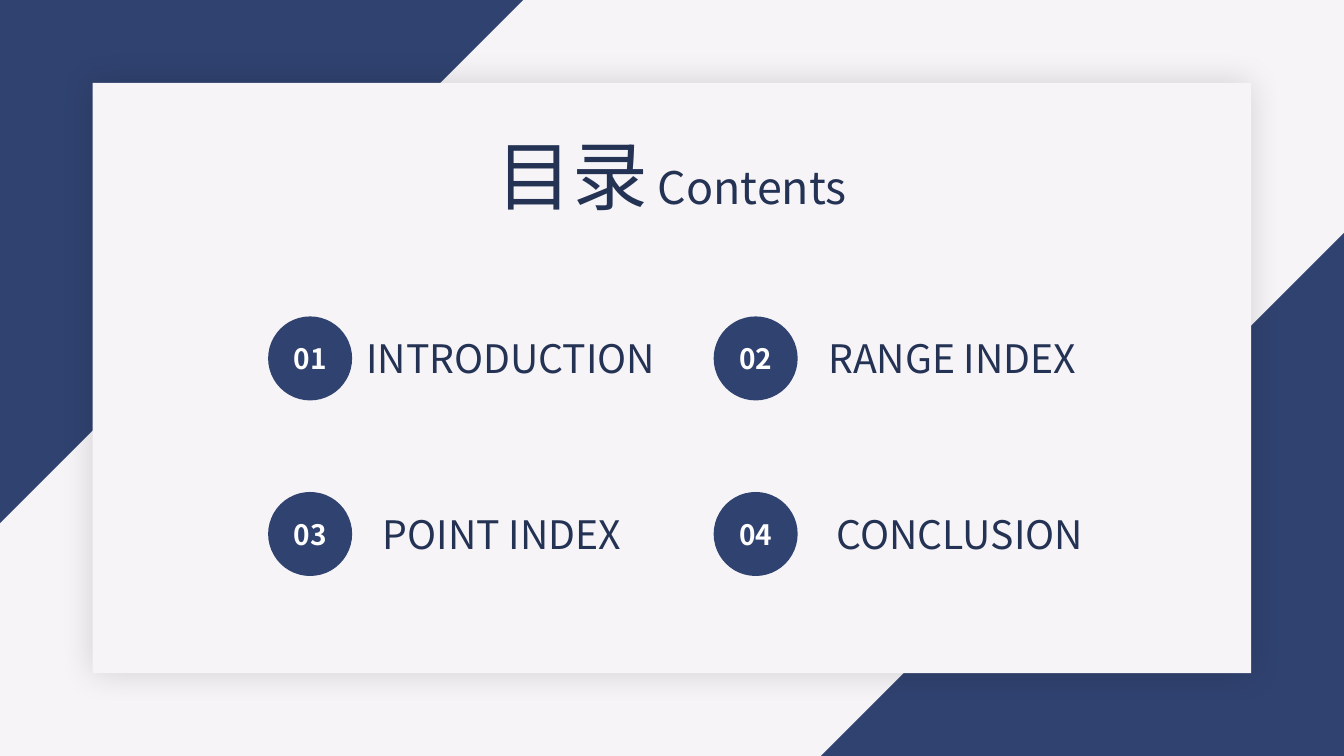
from lxml.etree import SubElement
from pptx import Presentation
from pptx.dml.color import RGBColor
from pptx.enum.shapes import MSO_SHAPE
from pptx.enum.text import MSO_ANCHOR, MSO_AUTO_SIZE, PP_ALIGN
from pptx.oxml import parse_xml
from pptx.oxml.ns import nsdecls, qn
from pptx.util import Pt

FONT = "Noto Sans CJK SC"
BACKGROUND, CARD = "F6F4F7", "F7F4F8"
NAVY, INK, WHITE = "304270", "243254", "FFFFFF"
TRIANGLE_SIDE = 373.7
BADGE_SIDE = 60
COLUMN_LEFTS = (191.5, 509.75)
ROW_TOPS = (226, 351.4)
LABEL_DROP = 9.4
INSET = 7.2
ENTRIES = (
    ("INTRODUCTION", 248.4, 260.6, 6),
    ("RANGE INDEX", 584.6, 226, 0),
    ("POINT INDEX", 266.4, 243.4, 0),
    ("CONCLUSION", 584.6, 226, 6),
)


def paint(color_format, color):
    color_format.rgb = RGBColor.from_string(color)


def fill_solid(fill, color):
    fill.solid()
    paint(fill.fore_color, color)


def add_span(para, text, size, color, bold=False):
    span = para.add_run()
    span.text = text
    font = span.font
    font.name, font.size, font.bold = FONT, Pt(size), bold
    paint(font.color, color)
    SubElement(font._element, qn("a:ea"), typeface=FONT)


def add_block(page, kind, left, top, width, height, color, rotation=0):
    block = page.shapes.add_shape(kind, Pt(left), Pt(top), Pt(width), Pt(height))
    fill_solid(block.fill, color)
    block.line.fill.background()
    block.shadow.inherit = False
    block.rotation = rotation
    return block


def add_glow(block, color, opacity, blur):
    effects = block.element.spPr.find(qn("a:effectLst"))
    effects.append(parse_xml(
        f'<a:outerShdw {nsdecls("a")} blurRad="{Pt(blur)}" dist="0" '
        f'algn="ctr" rotWithShape="0"><a:srgbClr val="{color}">'
        f'<a:alpha val="{opacity * 1000}"/></a:srgbClr></a:outerShdw>'
    ))


def format_title(title):
    title.left, title.top, title.width, title.height = Pt(329), Pt(88.6), Pt(301.7), Pt(72.7)
    frame = title.text_frame
    frame.word_wrap = True
    frame.auto_size = MSO_AUTO_SIZE.SHAPE_TO_FIT_TEXT
    frame.vertical_anchor = MSO_ANCHOR.TOP
    para = frame.paragraphs[0]
    para.alignment = PP_ALIGN.CENTER
    add_span(para, "目录", 54, INK)
    add_span(para, " Contents", 32, INK)


def add_badge(page, left, top, number):
    badge = add_block(page, MSO_SHAPE.OVAL, left, top, BADGE_SIDE, BADGE_SIDE, NAVY)
    frame = badge.text_frame
    frame.vertical_anchor = MSO_ANCHOR.MIDDLE
    para = frame.paragraphs[0]
    para.alignment = PP_ALIGN.CENTER
    add_span(para, f"{number:02}", 20, WHITE, bold=True)


def add_label(page, left, top, width, text, indent):
    box = page.shapes.add_textbox(Pt(left), Pt(top), Pt(width), Pt(41))
    frame = box.text_frame
    frame.word_wrap = True
    frame.auto_size = MSO_AUTO_SIZE.SHAPE_TO_FIT_TEXT
    frame.margin_left = Pt(INSET + indent)
    add_span(frame.paragraphs[0], text, 28, INK)


def main():
    deck = Presentation()
    deck.slide_width, deck.slide_height = Pt(960), Pt(540)
    page = deck.slides.add_slide(deck.slide_layouts[5])
    fill_solid(page.background.fill, BACKGROUND)

    corners = (
        (960 - TRIANGLE_SIDE, 540 - TRIANGLE_SIDE, 270),
        (0, 0, 90),
    )
    for left, top, rotation in corners:
        add_block(page, MSO_SHAPE.RIGHT_TRIANGLE, left, top,
                  TRIANGLE_SIDE, TRIANGLE_SIDE, NAVY, rotation)
    card = add_block(page, MSO_SHAPE.RECTANGLE, 66.2, 59.2, 827.6, 421.6, CARD)
    add_glow(card, "000000", 15, 24)

    title = page.shapes.title
    card.element.addnext(title.element)
    format_title(title)

    for index, (text, left, width, indent) in enumerate(ENTRIES):
        row, column = divmod(index, len(COLUMN_LEFTS))
        top = ROW_TOPS[row]
        add_badge(page, COLUMN_LEFTS[column], top, index + 1)
        add_label(page, left, top + LABEL_DROP, width, text, indent)

    deck.save("out.pptx")


main()
